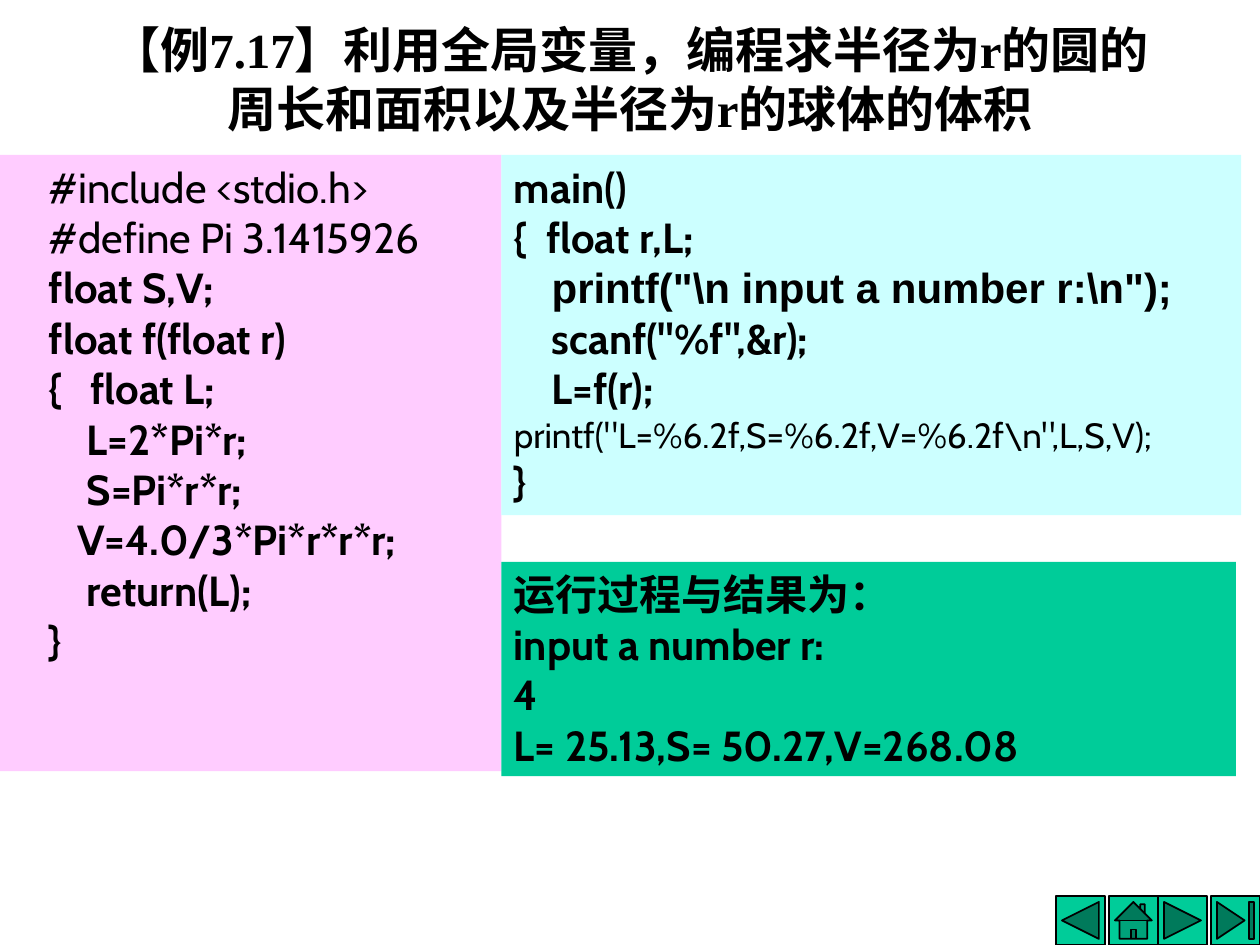
from pptx import Presentation
from pptx.dml.color import RGBColor
from pptx.enum.shapes import MSO_SHAPE
from pptx.enum.text import MSO_ANCHOR, PP_ALIGN
from pptx.util import Inches, Pt


def color(code):
    return RGBColor.from_string(code)


class Deck:
    """Holds the style and the current slide."""

    ink, green, pink, cyan = "000000", "00CC99", "FFCCFF", "CCFFFF"
    serif, sans, code = "Times New Roman", "Arial", "Cabin"

    def __init__(self, show):
        self.slide = show.slides.add_slide(show.slide_layouts[6])

    def shape(self, kind, place, fill):
        item = self.slide.shapes.add_shape(kind, *map(Inches, place))
        item.shadow.inherit = False
        item.fill.solid()
        item.fill.fore_color.rgb = color(fill)
        item.line.fill.background()
        return item

    def style(self, run, font=code, size=24, bold=True):
        run.font.name = font
        run.font.size = Pt(size)
        run.font.bold = bold
        run.font.color.rgb = color(self.ink)

    def title(self, place, text):
        box = self.slide.shapes.add_textbox(*map(Inches, place))
        frame = box.text_frame
        frame.word_wrap = True
        frame.vertical_anchor = MSO_ANCHOR.MIDDLE
        frame.text = text
        para = frame.paragraphs[0]
        para.alignment = PP_ALIGN.CENTER
        self.style(para.runs[0], self.serif, 28)

    def panel(self, place, fill, lines, indent=0):
        frame = self.shape(MSO_SHAPE.RECTANGLE, place, fill).text_frame
        frame.word_wrap = True
        frame.vertical_anchor = MSO_ANCHOR.TOP
        for row, line in enumerate(lines):
            para = frame.add_paragraph() if row else frame.paragraphs[0]
            para.alignment = PP_ALIGN.LEFT
            if indent:
                para._p.get_or_add_pPr().set("indent", str(Inches(indent)))
            for text, look in [(line, {})] if isinstance(line, str) else line:
                run = para.add_run()
                run.text = text
                self.style(run, **look)

    def button(self, kind, left):
        item = self.shape(kind, (left, 7.11, 0.39, 0.39), self.green)
        item.line.color.rgb = color(self.ink)
        item.line.width = Pt(1)


def main():
    show = Presentation()
    show.slide_width, show.slide_height = Inches(10), Inches(7.5)
    deck = Deck(show)

    for kind, left in (
        (MSO_SHAPE.ACTION_BUTTON_FORWARD_OR_NEXT, 9.19),
        (MSO_SHAPE.ACTION_BUTTON_HOME, 8.8),
        (MSO_SHAPE.ACTION_BUTTON_BACK_OR_PREVIOUS, 8.38),
        (MSO_SHAPE.ACTION_BUTTON_END, 9.61),
    ):
        deck.button(kind, left)

    deck.title((0.75, 0, 8.5, 1.25),
               "【例7.17】利用全局变量，编程求半径为r的圆的周长和面积以及半径为r的球体的体积")

    deck.panel((0, 1.23, 3.98, 4.89), deck.pink, [
        [("#include <stdio.h>", {"bold": False})],
        [("#define Pi 3.1415926", {"bold": False})],
        "float S,V;",
        "float f(float r)",
        "{   float L;",
        "    L=2*Pi*r;",
        "    S=Pi*r*r;",
        "   V=4.0/3*Pi*r*r*r;",
        "    return(L);",
        "}",
    ], indent=0.29)

    deck.panel((3.98, 1.23, 5.87, 2.86), deck.cyan, [
        "main()",
        "{  float r,L;",
        [("    ", {}),
         ('printf("\\n input a number r:\\n");', {"font": deck.sans})],
        '    scanf("%f",&r);',
        "    L=f(r);",
        [('printf("L=%6.2f,S=%6.2f,V=%6.2f\\n",L,S,V);',
          {"size": 20, "bold": False})],
        "}",
    ])

    deck.panel((3.98, 4.46, 5.83, 1.7), deck.green, [
        "运行过程与结果为：",
        "input a number r:",
        "4",
        "L= 25.13,S= 50.27,V=268.08",
    ])

    show.save("out.pptx")


if __name__ == "__main__":
    main()
